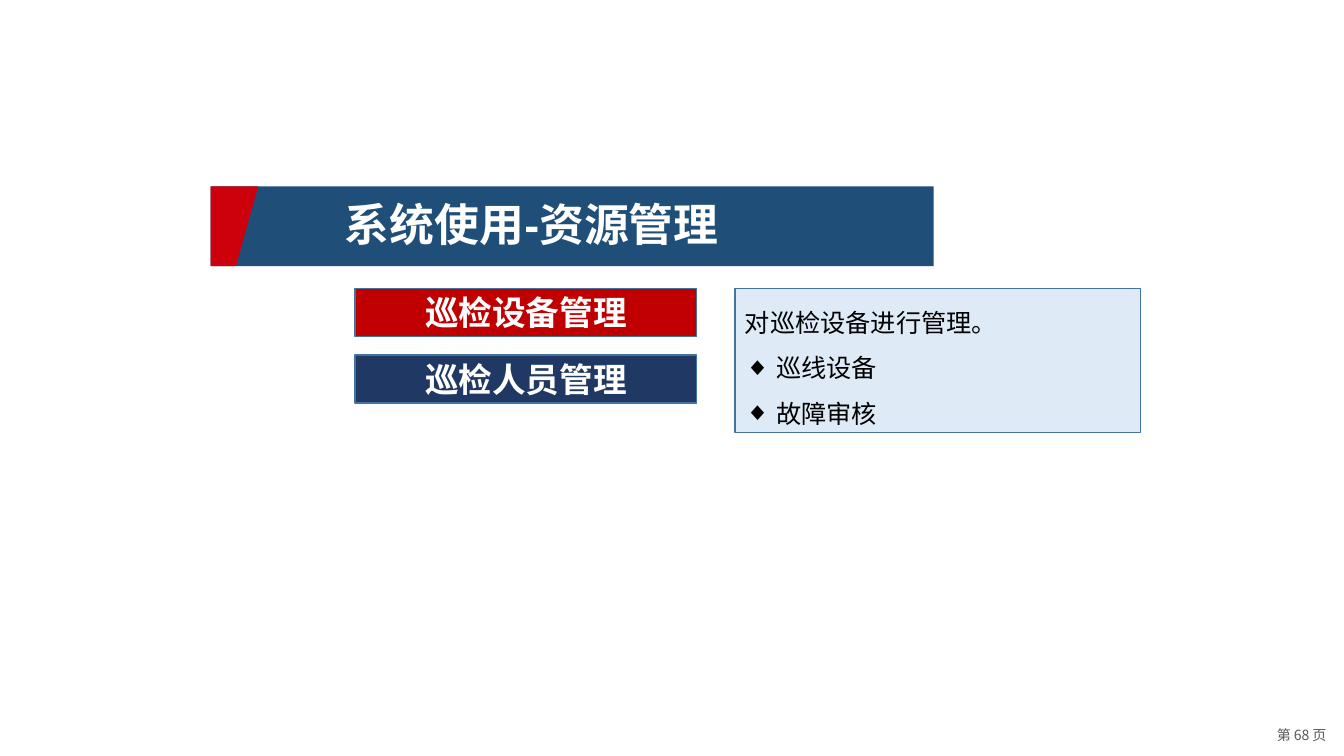
"""Builds the resource management section slide."""
from dataclasses import dataclass
from lxml import etree
from pptx import Presentation
from pptx.dml.color import RGBColor
from pptx.enum import shapes, text
from pptx.oxml.ns import qn
from pptx.util import Inches, Pt

TITLE = "系统使用-资源管理"
PAGE = "第 68 页"
TABS = [("巡检设备管理", "C00000"), ("巡检人员管理", "203864")]
LEAD = "对巡检设备进行管理。"
ITEMS = ["巡线设备", "故障审核"]


@dataclass
class Theme:
    bar: str = "1F4E79"
    accent: str = "CD010C"
    panel: str = "DEEBF7"
    edge: str = "43739E"
    white: str = "FFFFFF"
    black: str = "000000"
    gray: str = "595959"
    font: str = "Arial"
    asian: str = "Noto Sans CJK SC"
    title: int = 32
    tab: int = 24
    body: int = 18
    page: int = 10


T = Theme()
LEFT, TOP, HIGH = 2.09, 1.85, 0.79
ROW, STEP = 2.86, 0.66
MID = text.MSO_ANCHOR.MIDDLE


def paint(shape, fill, edge=None):
    shape.shadow.inherit = False
    shape.fill.solid()
    shape.fill.fore_color.rgb = RGBColor.from_string(fill)
    if edge:
        shape.line.color.rgb = RGBColor.from_string(edge)
        shape.line.width = Pt(1)
    else:
        shape.line.fill.background()


def rect(slide, box, fill, edge=None):
    shape = slide.shapes.add_shape(shapes.MSO_SHAPE.RECTANGLE, *map(Inches, box))
    paint(shape, fill, edge)
    return shape


def style(frame, size, color, bold=False, align=text.PP_ALIGN.LEFT, font=T.font):
    frame.word_wrap = True
    for para in frame.paragraphs:
        para.alignment = align
        for run in para.runs:
            run.font.size, run.font.bold, run.font.name = Pt(size), bold, font
            run.font.color.rgb = RGBColor.from_string(color)
            etree.SubElement(run.font._element, qn("a:ea"), typeface=T.asian)


def bullet(para):
    props = para._p.get_or_add_pPr()
    props.set("marL", str(Inches(0.31)))
    props.set("indent", str(-Inches(0.31)))
    etree.SubElement(props, qn("a:buFont"), typeface=T.font)
    etree.SubElement(props, qn("a:buChar"), char="◆")


def banner(slide):
    rect(slide, (LEFT, TOP, 7.17, HIGH), T.bar)
    pen = slide.shapes.build_freeform(Inches(LEFT), Inches(TOP))
    low = TOP + HIGH
    ends = [(LEFT + 0.47, TOP), (LEFT + 0.25, low), (LEFT, low)]
    pen.add_line_segments([(Inches(x), Inches(y)) for x, y in ends])
    paint(pen.convert_to_shape(), T.accent)
    title = slide.shapes.title
    title.left, title.top, title.width, title.height = map(Inches, (3.32, 1.9, 5.93, 0.64))
    frame = title.text_frame
    frame.text = TITLE
    frame.vertical_anchor = MID
    frame.auto_size = text.MSO_AUTO_SIZE.NONE
    style(frame, T.title, T.white, True)
    slide.shapes._spTree.append(title._element)


def tabs(slide):
    for i, (name, fill) in enumerate(TABS):
        tab = rect(slide, (3.52, ROW + i * STEP, 3.39, 0.48), fill, T.edge)
        tab.text_frame.text = name
        tab.text_frame.vertical_anchor = MID
        style(tab.text_frame, T.tab, T.white, True, text.PP_ALIGN.CENTER)


def panel(slide):
    frame = rect(slide, (7.29, ROW, 4.02, 1.43), T.panel, T.edge).text_frame
    frame.text = "\n".join([LEAD, *ITEMS])
    frame.vertical_anchor = MID
    for para in frame.paragraphs:
        para.line_spacing = 1.5
    for para in frame.paragraphs[1:]:
        bullet(para)
    style(frame, T.body, T.black)


def footer(slide):
    frame = slide.shapes.add_textbox(*map(Inches, (12.48, 7.16, 0.86, 0.27))).text_frame
    frame.text = PAGE
    style(frame, T.page, T.gray, align=text.PP_ALIGN.CENTER, font=T.asian)


def main():
    deck = Presentation()
    deck.slide_width, deck.slide_height = Inches(13.33), Inches(7.5)
    slide = deck.slides.add_slide(deck.slide_layouts[5])
    for part in (footer, banner, tabs, panel):
        part(slide)
    deck.save("out.pptx")


if __name__ == "__main__":
    main()
